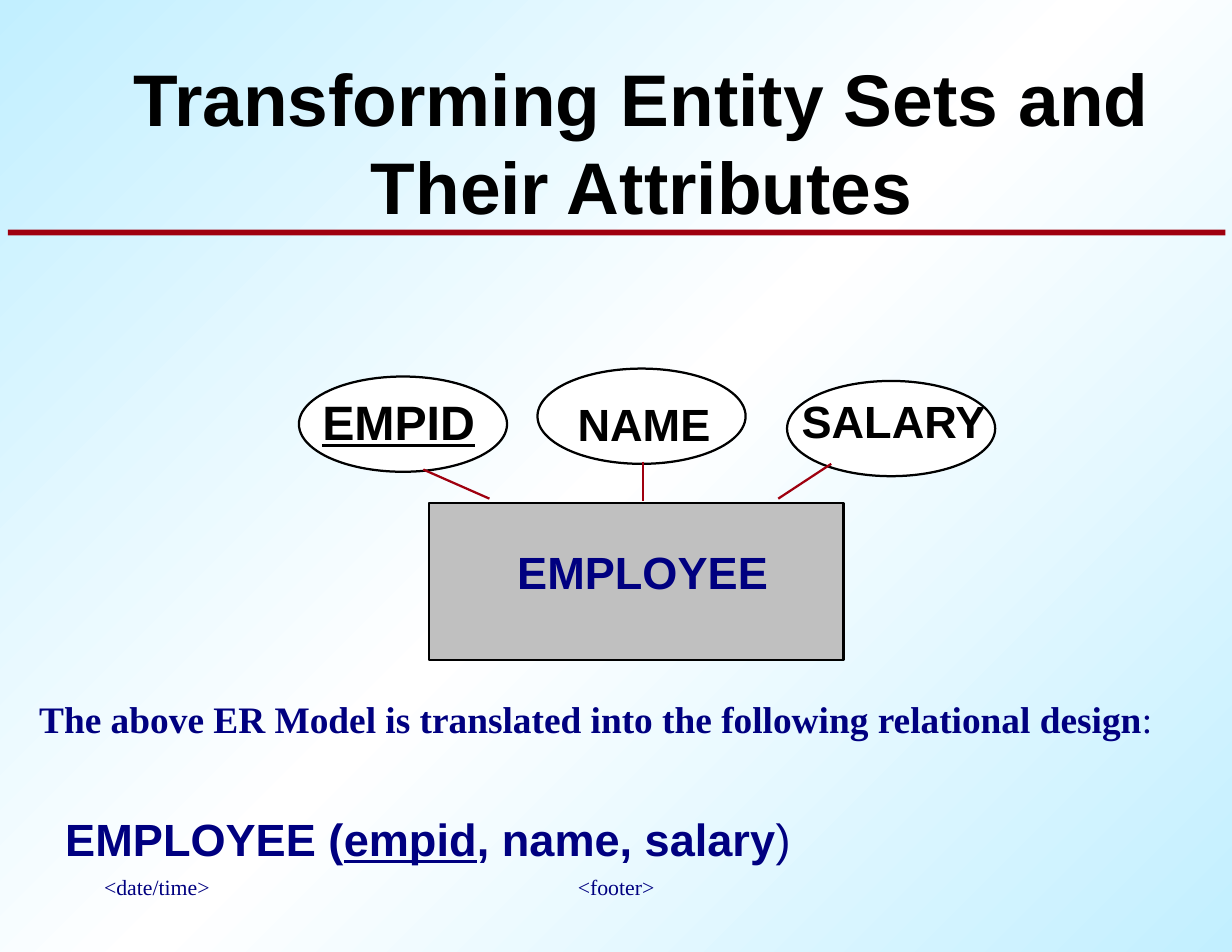
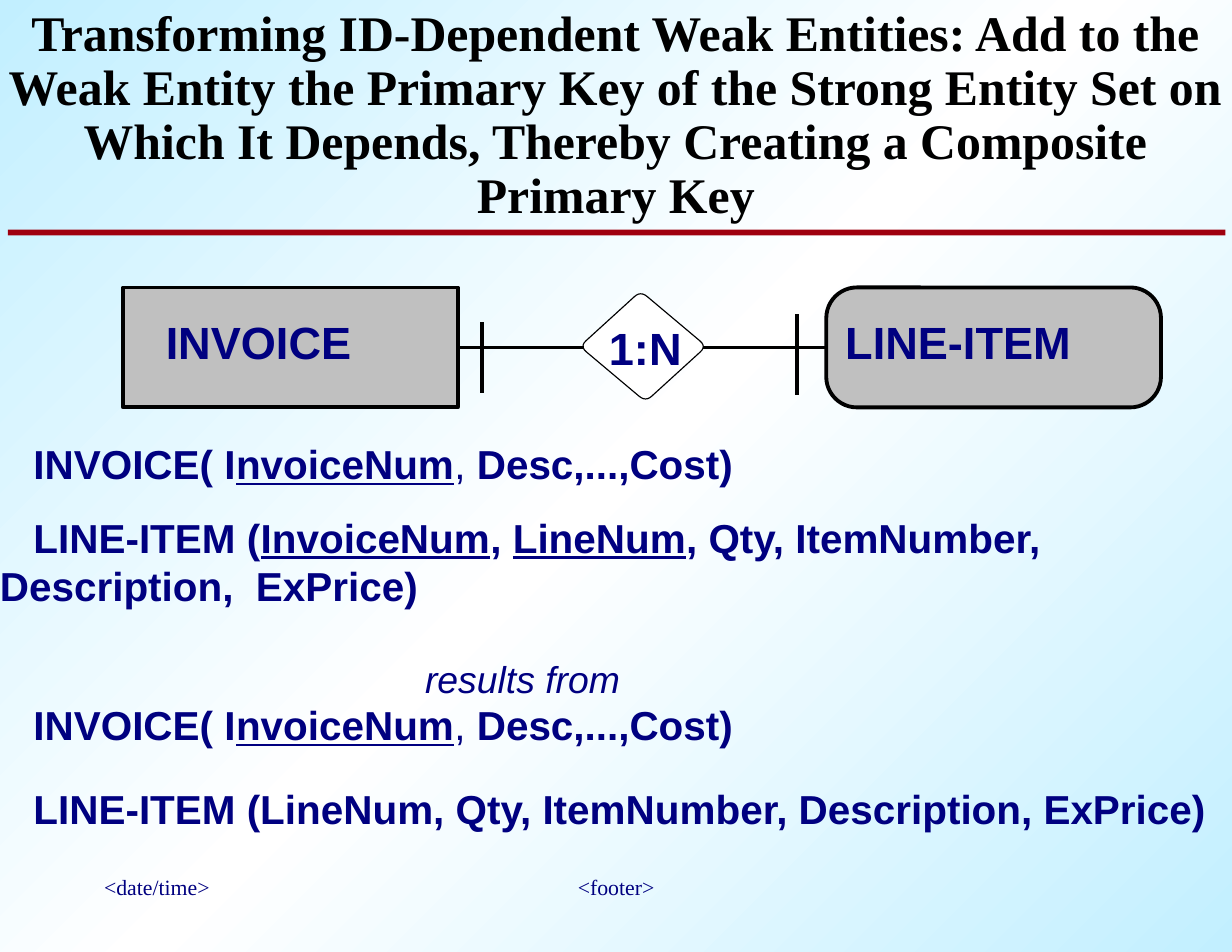
from collections import namedtuple
from copy import deepcopy

from pptx import Presentation
from pptx.dml.color import RGBColor
from pptx.enum.shapes import MSO_CONNECTOR, MSO_SHAPE
from pptx.enum.text import MSO_ANCHOR, PP_ALIGN
from pptx.oxml.ns import qn
from pptx.util import Cm, Pt

STRAIGHT = MSO_CONNECTOR.STRAIGHT
RECTANGLE, OVAL, ROUNDED = MSO_SHAPE.RECTANGLE, MSO_SHAPE.OVAL, MSO_SHAPE.ROUNDED_RECTANGLE
TOP, BOTTOM = MSO_ANCHOR.TOP, MSO_ANCHOR.BOTTOM
LEFT, CENTER = PP_ALIGN.LEFT, PP_ALIGN.CENTER

SKY, WHITE, BLACK = "C2EFFF", "FFFFFF", "000000"
NAVY, CRIMSON, SILVER = "000080", "9F000F", "C0C0C0"
SANS, SERIF = "Arial", "Times New Roman"
FLAGS = {"b": "bold", "i": "italic", "u": "underline"}
LABEL_SIZE, SCHEMA_SIZE = 29, 26

# All box values are centimetres
Box = namedtuple("Box", "left top width height")


def rgb(hex_value):
    return RGBColor.from_string(hex_value)


def inside(region, left, top, width, height):
    return Box(region.left + left, region.top + top, width, height)


def lengths(box):
    return [Cm(value) for value in box]


# ---- Basic parts ----
def add_text(slide, box, paragraphs, size, font=SANS, color=NAVY, align=LEFT,
             anchor=TOP, inset=(0, 0), spacing=None):
    """Each paragraph is a list of (text, flags) runs."""
    frame = slide.shapes.add_textbox(*lengths(box)).text_frame
    side, edge = (Cm(value) for value in inset)
    layout = {"word_wrap": True, "vertical_anchor": anchor, "margin_left": side,
              "margin_right": side, "margin_top": edge, "margin_bottom": edge}
    for name, value in layout.items():
        setattr(frame, name, value)
    for index, runs in enumerate(paragraphs):
        paragraph = frame.add_paragraph() if index else frame.paragraphs[0]
        paragraph.alignment = align
        if spacing:
            paragraph.line_spacing = spacing
        for text, flags in runs:
            run = paragraph.add_run()
            run.text = text
            style = {"name": font, "size": Pt(size)}
            style.update({FLAGS[flag]: True for flag in flags})
            for name, value in style.items():
                setattr(run.font, name, value)
            run.font.color.rgb = rgb(color)
    return frame


def indent_first_line(paragraph, distance):
    properties = paragraph._p.get_or_add_pPr()
    properties.set("marL", "0")
    properties.set("indent", str(Cm(distance)))


def paint(shape, fill, line_width=None):
    shape.shadow.inherit = False
    shape.fill.solid()
    shape.fill.fore_color.rgb = rgb(fill)
    if line_width:
        shape.line.color.rgb = rgb(BLACK)
        shape.line.width = Pt(line_width)
    else:
        shape.line.fill.background()
    return shape


def add_shape(slide, preset, box, fill, line_width=None):
    return paint(slide.shapes.add_shape(preset, *lengths(box)), fill, line_width)


def add_line(slide, region, start, end, color, width):
    points = [Cm(origin + offset) for point in (start, end)
              for origin, offset in zip(region[:2], point)]
    line = slide.shapes.add_connector(STRAIGHT, *points)
    line.line.color.rgb = rgb(color)
    line.line.width = Pt(width)
    properties = line._element.spPr
    properties.append(properties.makeelement(qn("a:effectLst"), {}))
    return line


# ---- What the slides share ----
def set_background(master):
    fill = master.background.fill
    fill.gradient()
    fill.gradient_angle = 135
    stop_list = master.element.find(".//" + qn("a:gsLst"))
    stop_list.append(deepcopy(stop_list[-1]))
    for stop, color, position in zip(fill.gradient_stops, (SKY, WHITE, SKY), (0, 0.5, 1)):
        stop.color.rgb = rgb(color)
        stop.position = position


def add_slide(prs, title, title_box, **title_style):
    slide = prs.slides.add_slide(prs.slide_layouts[6])
    # Footer fields
    for text, left, width, align in (("<footer>", 9.53, 8.89, CENTER),
                                     ("<date/time>", 2.11, 5.72, LEFT)):
        add_text(slide, Box(left, 19.69, width, 1.47), [[(text, "")]], 14, SERIF,
                 align=align, inset=(0.25, 0.13))
    # Rule and title above it
    add_shape(slide, RECTANGLE, Box(0.18, 5.21, 27.61, 0.13), CRIMSON)
    add_text(slide, title_box, [[(title, "b")]], color=BLACK, align=CENTER,
             anchor=BOTTOM, **title_style)
    return slide


# ---- Entity with its attributes ----
def draw_entity_set(slide, region):
    line_width = 1.45
    add_shape(slide, RECTANGLE, inside(region, 2.95, 3.05, 9.4, 3.56), SILVER, line_width)
    attributes = (
        # name, oval, label, size, flags, link start, link end
        ("EMPID", (0, 0.18), (0.53, 0.53), 31, "bu", (2.82, 2.29), (4.32, 2.95)),
        ("NAME", (5.41, 0), (6.32, 0.64), LABEL_SIZE, "b", (7.8, 2.11), (7.8, 3)),
        ("SALARY", (11.07, 0.28), (11.4, 0.56), LABEL_SIZE, "b", (12.07, 2.16), (10.87, 2.95)),
    )
    for name, oval, label, size, flags, start, end in attributes:
        add_shape(slide, OVAL, inside(region, *oval, 4.72, 2.16), WHITE, line_width)
        add_line(slide, region, start, end, CRIMSON, line_width)
        add_text(slide, inside(region, *label, 5.2, 1.5), [[(name, flags)]], size, color=BLACK)
    add_text(slide, inside(region, 4.95, 3.99, 6.45, 1.4), [[("EMPLOYEE", "b")]], LABEL_SIZE)


# ---- Relationship between a strong and a weak entity ----
def draw_diamond(slide, box):
    """Diamond whose corners are rounded by quadratic curves."""
    corners = [(box.left + x * box.width, box.top + y * box.height)
               for x, y in ((0.48, 0), (1, 0.5), (0.52, 1), (0, 0.5))]
    rounding, steps = 0.1, 6
    points = []
    for index, corner in enumerate(corners):
        before, after = corners[index - 1], corners[(index + 1) % 4]
        for step in range(steps + 1):
            t = step / steps
            points.append([Cm(c + rounding * ((1 - t) ** 2 * (b - c) + t ** 2 * (a - c)))
                           for b, c, a in zip(before, corner, after)])
    outline = slide.shapes.build_freeform(*points[0])
    outline.add_line_segments(points[1:], close=True)
    paint(outline.convert_to_shape(), WHITE, 0.75)


def draw_relationship(slide, region):
    line_width, middle = 2.47, 1.36
    invoice = add_shape(slide, RECTANGLE, inside(region, 0, 0, 7.59, 2.72), SILVER, line_width)
    line_item = add_shape(slide, ROUNDED, inside(region, 15.95, 0, 7.59, 2.72),
                          SILVER, line_width)
    line_item.adjustments[0] = 0.255
    draw_diamond(slide, inside(region, 10.36, 0.08, 2.87, 2.51))
    # Links from the diamond to both entities
    for entity, start, end, side in ((invoice, 10.46, 7.59, 3), (line_item, 13.16, 15.95, 1)):
        link = add_line(slide, region, (start, middle), (end, middle), BLACK, line_width)
        link.end_connect(entity, side)
    # Cardinality bars
    for x, top, bottom in ((8.15, 0.79, 2.39), (15.29, 0.61, 2.44)):
        add_line(slide, region, (x, top), (x, bottom), BLACK, line_width)
    for name, left, top, width in (("INVOICE", 0.97, 0.61, 5.92),
                                   ("LINE-ITEM", 16.38, 0.61, 7.62),
                                   ("1:N", 11.02, 0.74, 2.54)):
        add_text(slide, inside(region, left, top, width, 1.5), [[(name, "b")]], LABEL_SIZE)


# ---- Relational designs ----
def write_employee_schema(slide, region):
    add_text(slide, inside(region, 0, 0, 26.24, 1.27),
             [[("The above ER Model is translated into the following relational design", "b"),
               (":", "")]], 24, SERIF, inset=(0.25, 0.13))
    add_text(slide, inside(region, 0.84, 2.74, 24.64, 1.5),
             [[("EMPLOYEE (", "b"), ("empid", "bu"), (", name, salary", "b"), (")", "")]],
             LABEL_SIZE)


def write_invoice_schemas(slide, region):
    invoice = [("INVOICE( I", "b"), ("nvoiceNum", "bu"), (",", ""), (" Desc,...,Cost)", "b")]
    composite = [("LINE-ITEM (", "b"), ("InvoiceNum", "bu"), (", ", "b"), ("LineNum", "bu"),
                 (", Qty, ItemNumber, Description,  ExPrice)", "b")]
    weak = [("LINE-ITEM (LineNum, Qty, ItemNumber, Description, ExPrice)", "b")]
    origin = [("results from", "i")]
    for top, height, paragraphs in ((0, 1.45, [invoice]), (1.67, 4.25, [composite, origin]),
                                    (5.92, 1.45, [invoice]), (7.82, 1.45, [weak])):
        frame = add_text(slide, inside(region, 0, top, region.width, height),
                         paragraphs, SCHEMA_SIZE)
        indent_first_line(frame.paragraphs[0], 0.76)
        for note in frame.paragraphs[1:]:
            indent_first_line(note, 9.64)
            note.space_before = Pt(30)
            note.runs[0].font.size = Pt(24)


def main():
    prs = Presentation()
    prs.slide_width, prs.slide_height = Cm(27.94), Cm(21.59)
    set_background(prs.slide_master)

    employee = add_slide(prs, "Transforming Entity Sets and Their Attributes",
                         Box(1.04, -0.91, 27.03, 6.1), size=47)
    draw_entity_set(employee, Box(6.78, 8.36, 15.8, 6.6))
    write_employee_schema(employee, Box(0.64, 15.67, 26.24, 4.24))

    weak_entity = add_slide(
        prs, "Transforming ID-Dependent Weak Entities: Add to the Weak Entity the Primary Key "
        "of the Strong Entity Set on Which It Depends, Thereby Creating a Composite Primary Key",
        Box(0, 0, 27.94, 5.08), size=32, font=SERIF, spacing=0.9)
    draw_relationship(weak_entity, Box(2.79, 6.52, 23.55, 2.72))
    write_invoice_schemas(weak_entity, Box(0, 9.96, 27.94, 9.27))

    prs.save("out.pptx")


if __name__ == "__main__":
    main()
